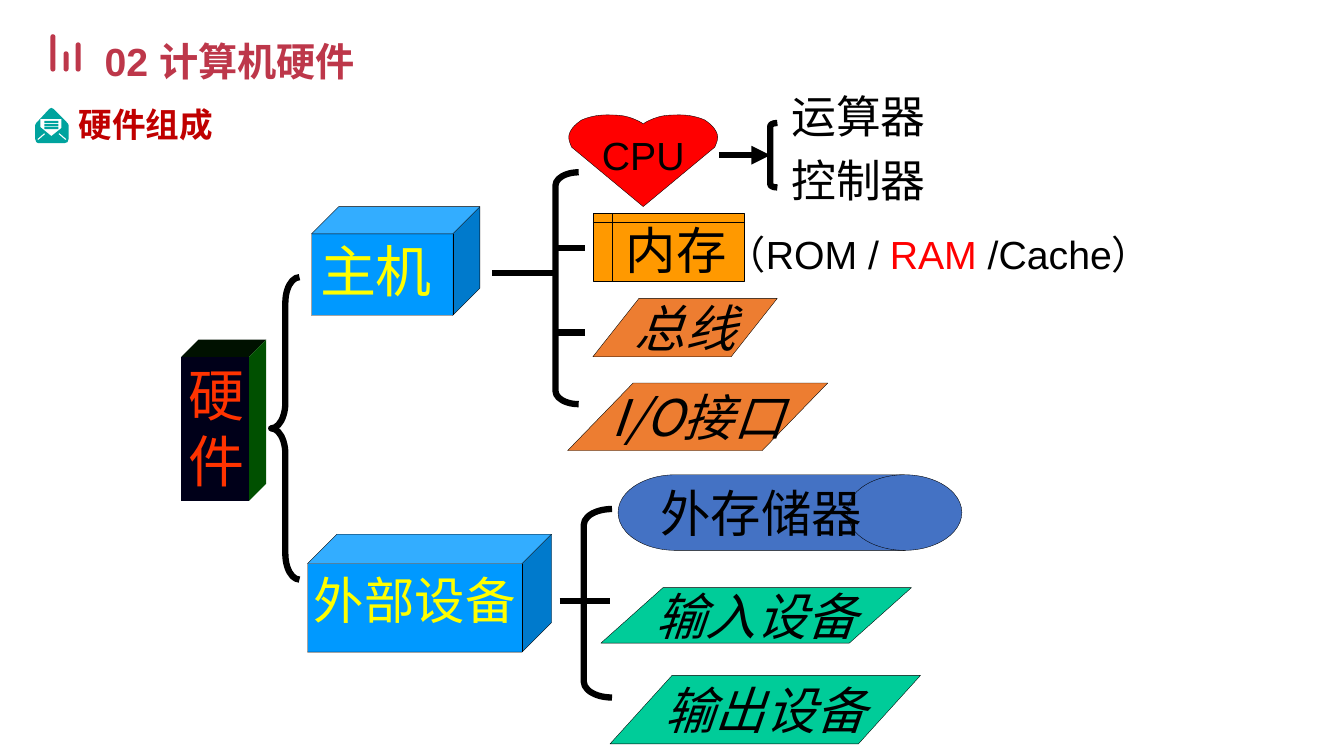
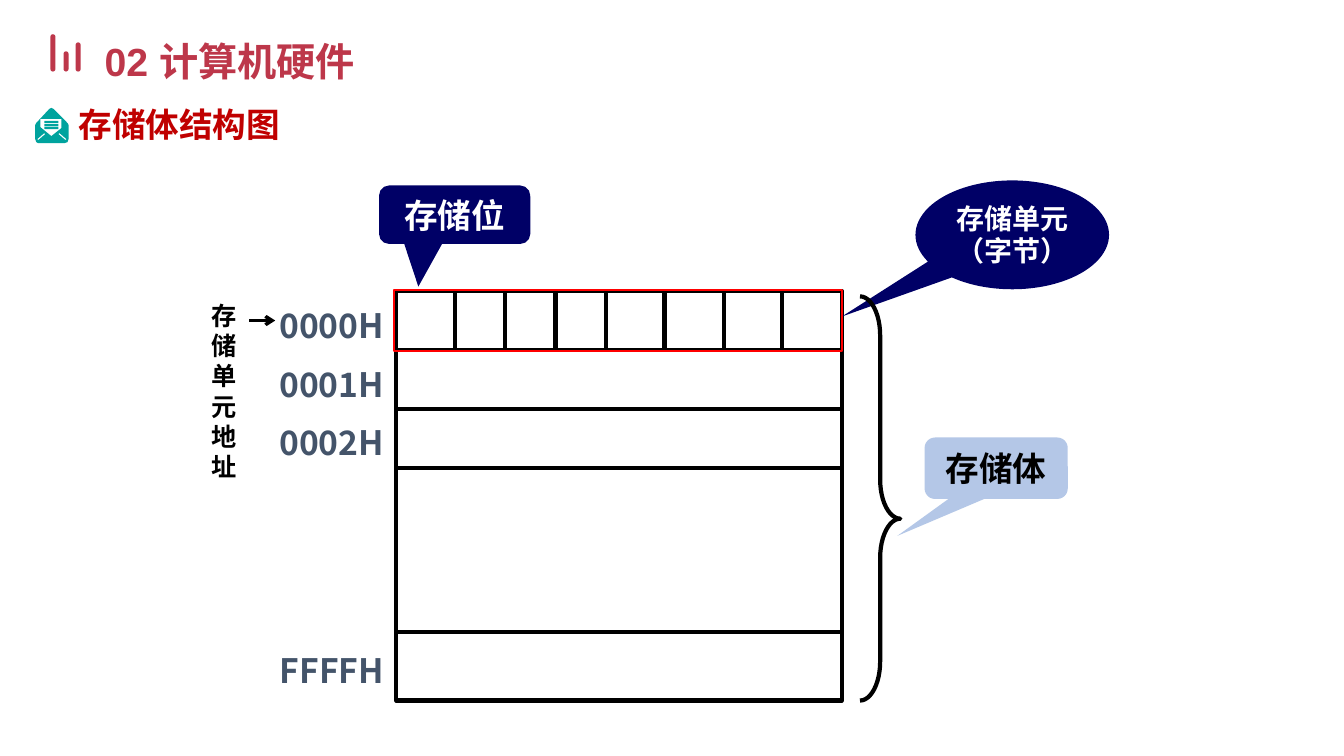
from lxml.etree import SubElement
from pptx import Presentation
from pptx.dml.color import RGBColor
from pptx.enum.shapes import MSO_CONNECTOR, MSO_SHAPE
from pptx.enum.text import MSO_ANCHOR, PP_ALIGN
from pptx.oxml.ns import qn
from pptx.util import Pt

PX = 9144  # 100 px to the inch
OUTLINE_STEPS = 100  # path units per px, so that curves stay smooth
SANS, LATIN = "Noto Sans CJK SC", "Arial"
COLORS = {
    "title": "BD374A", "subtitle": "C00000", "teal": "00A39E", "black": "000000",
    "white": "FFFFFF", "red": "FF0000", "orange_red": "FF3300", "yellow": "FFFF00",
    "blue": "0099FF", "amber": "FF9900", "orange": "ED7D31", "drum": "4472C4",
    "green": "00CC99", "navy": "000066", "pale_blue": "B4C7E7", "slate": "44546A",
    "block_front": "000019", "block_top": "001100", "block_side": "005000",
}

# Shared header
TITLE = "02 计算机硬件"
TITLE_BARS = [(50, 34, 37), (63, 51, 20), (75, 42, 29)]
ENVELOPE = [
    [(67, 122), (68, 124), (68, 138), (67, 141), (64, 142), (38, 142), (36, 141),
     (35, 138), (35, 124), (36, 122), (49, 108), (51, 107), (53, 108)],
    [(40, 118), (40, 126), (51, 135), (61, 127), (61, 118)],
    *[[(44, y), (44, y + 2), (58, y + 2), (58, y)] for y in (120, 123, 126)],
    [(38, 139), (45, 133), (44, 132), (37, 138)],
    [(65, 139), (58, 133), (59, 132), (66, 138)],
]

# Hardware tree
BLOCK_FACES = [
    ("block_front", [(180, 354), (247, 354), (247, 497), (180, 497)]),
    ("block_top", [(180, 354), (197, 337), (264, 337), (247, 354)]),
    ("block_side", [(247, 354), (264, 337), (264, 480), (247, 497)]),
]
# kind, box, fill, text, text style, adjustments
HARDWARE_PARTS = [
    (MSO_SHAPE.CUBE, (309, 205, 167, 108), "blue", "主机",
     {"size": 40, "color": "yellow", "lift": 4, "shift": 6}, [0.25]),
    (MSO_SHAPE.CUBE, (305, 530, 242, 117), "blue", "外部设备",
     {"size": 36, "color": "yellow", "lift": 8}, [0.25]),
    (MSO_SHAPE.FLOWCHART_INTERNAL_STORAGE, (588, 212, 150, 67), "amber", "", {}, []),
    (MSO_SHAPE.PARALLELOGRAM, (588, 296, 183, 58), "orange", "总线",
     {"size": 36, "italic": True}, [0.79]),
    (MSO_SHAPE.PARALLELOGRAM, (563, 380, 258, 67), "orange", "I/O接口",
     {"size": 36, "italic": True}, [0.97]),
    (MSO_SHAPE.FLOWCHART_DIRECT_ACCESS_STORAGE, (613, 471, 341, 75), "drum", "外存储器",
     {"size": 36}, []),
    (MSO_SHAPE.FLOWCHART_DATA, (596, 583, 308, 55), "green", "输入设备",
     {"size": 36, "italic": True}, []),
    (MSO_SHAPE.FLOWCHART_DATA, (605, 670, 308, 68), "green", "输出设备",
     {"size": 36, "italic": True}, []),
]
HEART_START = (638, 123)
HEART_CURVES = [
    [(636, 121), (629, 118), (626, 117)], [(618, 114), (610, 114), (601, 114)],
    [(592, 114), (584, 116), (577, 119)], [(571, 123), (567, 127), (565, 132)],
    [(563, 137), (565, 141), (567, 146)],
]
HEART_TIP = (638, 205)
MEMORY_RUNS = [
    ("内存", {"size": 36}), ("（ROM / ", {"font": LATIN}),
    ("RAM ", {"font": LATIN, "color": "red"}), ("/Cache）", {"font": LATIN}),
]
TREE_BRACKETS = [
    (MSO_SHAPE.LEFT_BRACE, (269, 275, 28, 300), [0.91, 0.5]),
    (MSO_SHAPE.LEFT_BRACKET, (551, 171, 23, 230), [0.57]),
    (MSO_SHAPE.LEFT_BRACKET, (579, 505, 28, 187), [0.56]),
]
TREE_LINES = [(488, 271, 551), (551, 246, 580), (551, 330, 580), (555, 596, 605)]

# Memory map
GRID_LEFT, GRID_RIGHT = 393, 835
ROW_EDGES = [289, 347, 406, 464, 627, 695]
BIT_EDGES = [451, 501, 551, 601, 659, 718, 776]
ADDRESSES = {0: "0000H", 1: "0001H", 2: "0002H", 4: "FFFFH"}
CALLOUTS = [
    (MSO_SHAPE.ROUNDED_RECTANGULAR_CALLOUT, (376, 184, 150, 58), "navy", ["存储位"],
     {"size": 24, "color": "white"}, [-0.24, 1.23, 0.17]),
    (MSO_SHAPE.OVAL_CALLOUT, (908, 179, 192, 108), "navy", ["存储单元", "（字节）"],
     {"size": 20, "color": "white", "leading": 23}, [-0.88, 0.75]),
    (MSO_SHAPE.ROUNDED_RECTANGULAR_CALLOUT, (917, 434, 142, 61), "pale_blue", ["存储体"],
     {"size": 24}, [-0.69, 1.1, 0.17]),
]


def rgb(name):
    return RGBColor.from_string(COLORS[name])


def write(shape, paragraphs, size=28, color="black", font=SANS, bold=False, italic=False,
          align=PP_ALIGN.CENTER, anchor=MSO_ANCHOR.MIDDLE, wrap=False, lift=0, shift=0,
          leading=None):
    """Fill a shape with paragraphs, each a string or a list of (text, style) runs.

    lift and shift move centred text up and left by that many px.
    """
    frame = shape.text_frame
    frame.word_wrap = wrap
    frame.vertical_anchor = anchor
    frame.margin_left = 10 * PX
    frame.margin_right = (10 + 2 * shift) * PX
    frame.margin_top = 5 * PX
    frame.margin_bottom = (5 + 2 * lift) * PX
    for index, content in enumerate(paragraphs):
        paragraph = frame.add_paragraph() if index else frame.paragraphs[0]
        paragraph.alignment = align
        if leading:
            paragraph.line_spacing = Pt(leading)
        for text, style in [(content, {})] if isinstance(content, str) else content:
            run = paragraph.add_run()
            run.text = text
            run.font.size = Pt(style.get("size", size))
            run.font.bold, run.font.italic = bold, italic
            run.font.color.rgb = rgb(style.get("color", color))
            run.font.name = style.get("font", font)
            SubElement(run.font._element, qn("a:ea")).set("typeface", SANS)


def paint(shape, fill=None, line=None, width=0.25):
    shape.shadow.inherit = False
    if fill:
        shape.fill.solid()
        shape.fill.fore_color.rgb = rgb(fill)
    else:
        shape.fill.background()
    if line:
        shape.line.color.rgb = rgb(line)
        shape.line.width = Pt(width)
    else:
        shape.line.fill.background()
    return shape


def add_part(slide, kind, box, fill=None, line=None, width=0.25, adjustments=()):
    shape = slide.shapes.add_shape(kind, *[value * PX for value in box])
    for index, value in enumerate(adjustments):
        shape.adjustments[index] = value
    return paint(shape, fill, line, width)


def add_text(slide, box, paragraphs, **style):
    write(slide.shapes.add_textbox(*[value * PX for value in box]), paragraphs, **style)


def add_outline(slide, contours, fill, line=None):
    builder = None
    for contour in contours:
        first, *rest = [(round(x * OUTLINE_STEPS), round(y * OUTLINE_STEPS)) for x, y in contour]
        if builder is None:
            builder = slide.shapes.build_freeform(*first, scale=PX / OUTLINE_STEPS)
        else:
            builder.move_to(*first)
        builder.add_line_segments(rest, close=True)
    return paint(builder.convert_to_shape(), fill, line)


def add_line(slide, start, end, width, arrow=None):
    connector = slide.shapes.add_connector(
        MSO_CONNECTOR.STRAIGHT, *[value * PX for value in start + end])
    connector.line.color.rgb = rgb("black")
    connector.line.width = Pt(width)
    if arrow:
        SubElement(connector.line._get_or_add_ln(), qn("a:tailEnd")).set("type", arrow)
    SubElement(connector._element.spPr, qn("a:effectLst"))
    return connector


def heart_points(steps=8):
    """Sample the left half's Bézier curves and mirror them around the tip."""
    left, start = [HEART_START], HEART_START
    for first, second, end in HEART_CURVES:
        for step in range(1, steps + 1):
            t = step / steps
            weights = ((1 - t) ** 3, 3 * t * (1 - t) ** 2, 3 * t * t * (1 - t), t ** 3)
            controls = (start, first, second, end)
            left.append(tuple(sum(w * point[axis] for w, point in zip(weights, controls))
                              for axis in (0, 1)))
        start = end
    right = [(2 * HEART_TIP[0] - x, y) for x, y in reversed(left[1:])]
    return left + [HEART_TIP] + right


def add_headed_slide(presentation, subtitle):
    slide = presentation.slides.add_slide(presentation.slide_layouts[6])
    for x, y, height in TITLE_BARS:
        add_part(slide, MSO_SHAPE.ROUNDED_RECTANGLE, (x, y, 5, height), "title", adjustments=[0.5])
    add_text(slide, (94, 29, 454, 63), [TITLE], color="title", font=LATIN, bold=True,
             align=PP_ALIGN.LEFT)
    add_outline(slide, ENVELOPE, "teal")
    add_text(slide, (68, 98, 223, 50), [subtitle], size=24, color="subtitle", bold=True,
             align=PP_ALIGN.LEFT, wrap=True)
    return slide


def build_hardware_tree(presentation):
    slide = add_headed_slide(presentation, "硬件组成")
    for fill, points in BLOCK_FACES:
        add_outline(slide, [points], fill)
    add_text(slide, (175, 355, 80, 138), ["硬", "件"], size=40, color="orange_red", leading=47)
    for kind, box, fill, text, style, adjustments in HARDWARE_PARTS:
        shape = add_part(slide, kind, box, fill, "black", adjustments=adjustments)
        if text:
            write(shape, [text], **style)
    add_text(slide, (611, 215, 600, 64), [MEMORY_RUNS], align=PP_ALIGN.LEFT)
    heart = add_outline(slide, [heart_points()], "red", "black")
    write(heart, ["CPU"], font=LATIN, lift=6)
    for y, unit in ((83, "运算器"), (146, "控制器")):
        add_text(slide, (775, y, 196, 64), [unit], size=32, align=PP_ALIGN.LEFT)
    for kind, box, adjustments in TREE_BRACKETS:
        add_part(slide, kind, box, line="black", width=4.5, adjustments=adjustments)
    unit_bracket = add_part(slide, MSO_SHAPE.LEFT_BRACKET, (764, 122, 7, 64), line="black",
                            width=4.5, adjustments=[0.43])
    arrow = add_line(slide, (713, 154), (764, 154), 4.5, "triangle")
    arrow.end_connect(unit_bracket, 1)
    for left, y, right in TREE_LINES:
        add_line(slide, (left, y), (right, y), 4.5)


def build_memory_map(presentation):
    slide = add_headed_slide(presentation, "存储体结构图")
    top, bottom = ROW_EDGES[0], ROW_EDGES[-1]
    width = GRID_RIGHT - GRID_LEFT
    add_part(slide, MSO_SHAPE.RECTANGLE, (GRID_LEFT, top, width, bottom - top),
             line="black", width=3)
    for y in ROW_EDGES[1:-1]:
        add_line(slide, (GRID_LEFT, y), (GRID_RIGHT, y), 3)
    for x in BIT_EDGES:
        add_line(slide, (x, top), (x, ROW_EDGES[1]), 3)
    for row, address in ADDRESSES.items():
        row_top, row_bottom = ROW_EDGES[row:row + 2]
        add_text(slide, (263, row_top + 4, 132, row_bottom - row_top), [address],
                 size=24, color="slate", bold=True)
    for kind, box, fill, paragraphs, style, adjustments in CALLOUTS:
        shape = add_part(slide, kind, box, fill, adjustments=adjustments)
        write(shape, paragraphs, bold=True, **style)
    add_part(slide, MSO_SHAPE.RIGHT_BRACE, (853, 294, 40, 401), line="black", width=3,
             adjustments=[0.97, 0.55])
    add_part(slide, MSO_SHAPE.RECTANGLE, (GRID_LEFT - 2, top - 1, width + 2, 60),
             line="red", width=1.5)
    add_text(slide, (200, 293, 47, 192), ["存储单元地址"], size=18, bold=True, wrap=True,
             align=PP_ALIGN.LEFT, anchor=MSO_ANCHOR.TOP, leading=21.6)
    add_line(slide, (247, 318), (273, 318), 2.25, "arrow")


def main():
    presentation = Presentation()
    presentation.slide_width, presentation.slide_height = 1333 * PX, 750 * PX
    build_hardware_tree(presentation)
    build_memory_map(presentation)
    presentation.save("out.pptx")


if __name__ == "__main__":
    main()
